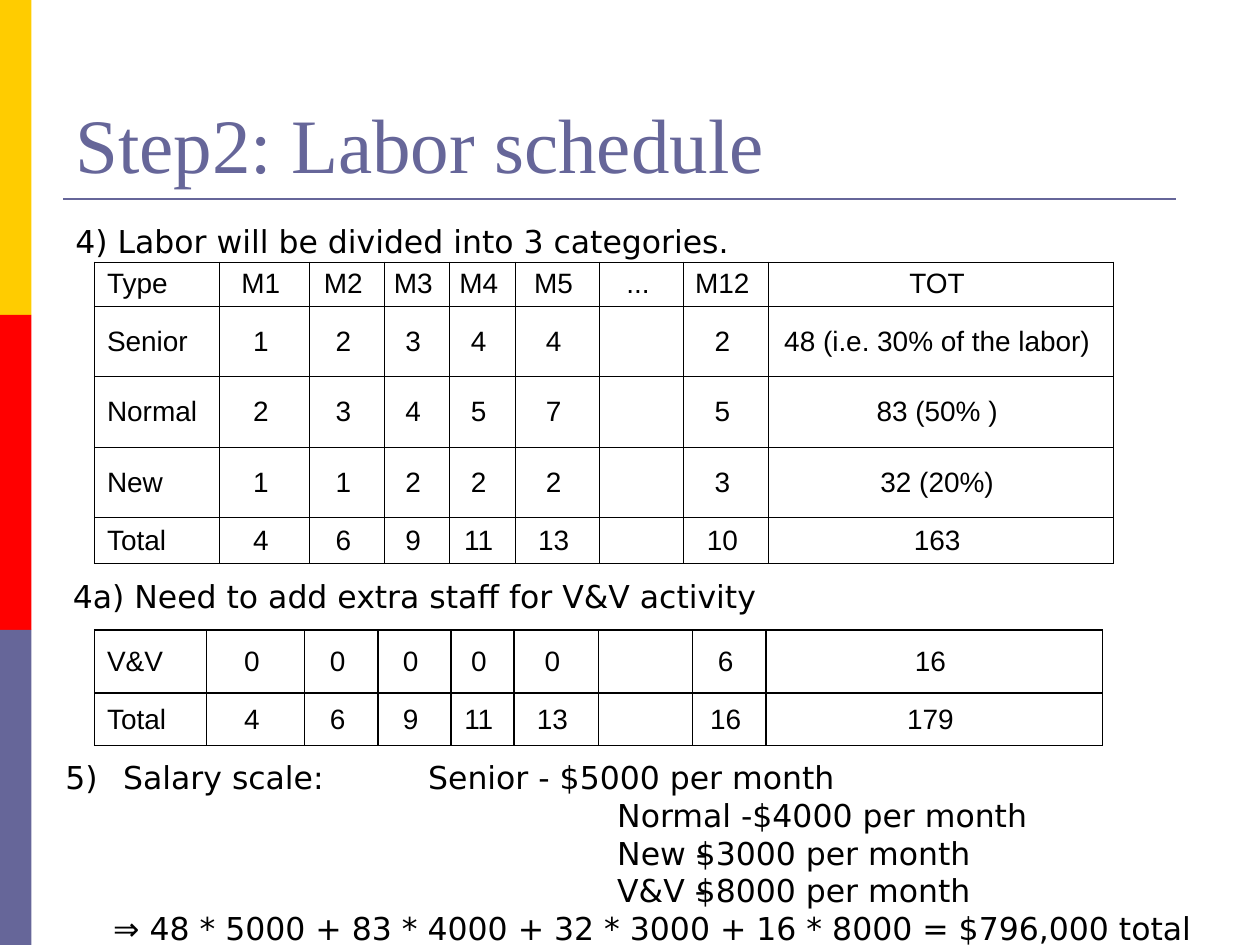
from dataclasses import dataclass

from lxml.etree import SubElement
from pptx import Presentation
from pptx.dml.color import RGBColor
from pptx.enum.shapes import MSO_CONNECTOR as Connector, MSO_SHAPE as Shape
from pptx.enum.text import MSO_ANCHOR as Anchor, PP_ALIGN as Align
from pptx.oxml import parse_xml
from pptx.oxml.ns import nsdecls, qn
from pptx.slide import Slide
from pptx.util import Inches, Pt

BLACK = RGBColor(0x00, 0x00, 0x00)
YELLOW = RGBColor(0xFF, 0xCC, 0x00)
RED = RGBColor(0xFF, 0x00, 0x00)
SLATE = RGBColor(0x66, 0x66, 0x99)


@dataclass
class SlideWriter:
    slide: Slide
    title_font: str = "Times New Roman"
    body_font: str = "DejaVu Sans"
    table_font: str = "Arial"
    body_size: int = 18
    table_size: int = 16
    border: float = 0.75

    def run(self, paragraph, text, font, size, color=BLACK):
        run = paragraph.add_run()
        run.text = text
        run.font.name = font
        run.font.size = Pt(size)
        run.font.color.rgb = color

    def band(self, left, top, width, height, color):
        band = self.slide.shapes.add_shape(
            Shape.RECTANGLE, Inches(left), Inches(top), Inches(width), Inches(height))
        band.shadow.inherit = False
        band.fill.solid()
        band.fill.fore_color.rgb = color
        band.line.fill.background()

    def rule(self, left, right, y, color):
        rule = self.slide.shapes.add_connector(
            Connector.STRAIGHT, Inches(left), Inches(y), Inches(right), Inches(y))
        rule.line.color.rgb = color
        rule.line.width = Pt(1.5)
        SubElement(rule._element.spPr, qn("a:effectLst"))

    def frame(self, left, top, width, height, anchor=Anchor.TOP):
        box = self.slide.shapes.add_textbox(
            Inches(left), Inches(top), Inches(width), Inches(height))
        frame = box.text_frame
        frame.word_wrap = True
        frame.vertical_anchor = anchor
        return frame

    def title(self, text, left, top, width, height):
        frame = self.frame(left, top, width, height, Anchor.BOTTOM)
        self.run(frame.paragraphs[0], text, self.title_font, 44, SLATE)

    def label(self, text, left, top, width, height, spacing=1.0):
        paragraph = self.frame(left, top, width, height).paragraphs[0]
        paragraph.line_spacing = spacing
        self.run(paragraph, text, self.body_font, self.body_size)

    def hanging_list(self, lines, left, top, width, height):
        frame = self.frame(left, top, width, height)
        for index, (text, margin, hang) in enumerate(lines):
            paragraph = frame.add_paragraph() if index else frame.paragraphs[0]
            properties = paragraph._p.get_or_add_pPr()
            properties.set("marL", str(Inches(margin)))
            properties.set("indent", str(-Inches(hang)))
            paragraph.line_spacing = 0.8 if index else 0.9
            if index:
                paragraph.space_before = Pt(4.2)
            self.run(paragraph, text, self.body_font, self.body_size)

    def cell(self, cell, text, centred):
        properties = cell._tc.get_or_add_tcPr()
        for side in ("lnL", "lnR", "lnT", "lnB"):
            properties.append(parse_xml(
                f'<a:{side} {nsdecls("a")} w="{Pt(self.border)}"><a:solidFill>'
                f'<a:srgbClr val="{BLACK}"/></a:solidFill></a:{side}>'))
        cell.fill.background()
        cell.vertical_anchor = Anchor.MIDDLE
        cell.margin_top = cell.margin_bottom = Inches(0.03)
        if centred:
            cell.margin_left, cell.margin_right = Inches(0.05), Inches(0.11)
        paragraph = cell.text_frame.paragraphs[0]
        paragraph.alignment = Align.CENTER if centred else Align.LEFT
        if text:
            self.run(paragraph, text, self.table_font, self.table_size)

    def table(self, rows, left, top, widths, heights):
        table = self.slide.shapes.add_table(
            len(rows), len(widths), Inches(left), Inches(top),
            Inches(sum(widths)), Inches(sum(heights))).table
        table.first_row = table.horz_banding = False
        for column, width in zip(table.columns, widths):
            column.width = Inches(width)
        for row, height, texts in zip(table.rows, heights, rows):
            row.height = Inches(height)
            for index, text in enumerate(texts):
                self.cell(row.cells[index], text, centred=index > 0)


LABOR = [
    ["Type", "M1", "M2", "M3", "M4", "M5", "...", "M12", "TOT"],
    ["Senior", "1", "2", "3", "4", "4", "", "2", "48 (i.e. 30% of the labor)"],
    ["Normal", "2", "3", "4", "5", "7", "", "5", "83 (50% )"],
    ["New", "1", "1", "2", "2", "2", "", "3", "32 (20%)"],
    ["Total", "4", "6", "9", "11", "13", "", "10", "163"],
]
EXTRA_STAFF = [
    ["V&V", "0", "0", "0", "0", "0", "", "6", "16"],
    ["Total", "4", "6", "9", "11", "13", "", "16", "179"],
]
SALARIES = [
    ("5)\t Salary scale: \t\tSenior - $5000 per month", 0.38, 0.38),
    ("Normal -$4000 per month", 5.4, 1.02),
    ("New -\t$3000 per month", 5.4, 1.02),
    ("V&V -\t$8000 per month", 5.4, 1.02),
    ("\t⇒ 48 * 5000 + 83 * 4000 + 32 * 3000 + 16 * 8000 = $796,000 total", 0.38, 0.38),
]


def main():
    deck = Presentation()
    deck.slide_width, deck.slide_height = Inches(10), Inches(7.5)
    writer = SlideWriter(deck.slides.add_slide(deck.slide_layouts[6]))

    for index, color in enumerate((YELLOW, RED, SLATE)):
        writer.band(0, 2.5 * index, 0.25, 2.5, color)
    writer.rule(0.5, 9.33, 1.58, SLATE)
    writer.title("Step2: Labor schedule", 0.5, 0.3, 9, 1.25)

    writer.hanging_list(SALARIES, 0.42, 6, 9.58, 1.5)
    writer.table(LABOR, 0.75, 2.08,
                 [0.99, 0.72, 0.59, 0.52, 0.52, 0.67, 0.67, 0.67, 2.74],
                 [0.35, 0.56, 0.56, 0.56, 0.35])
    writer.label("4) Labor will be divided into 3 categories.", 0.5, 1.75, 5.61, 0.37, 0.9)
    writer.table(EXTRA_STAFF, 0.75, 5,
                 [0.89, 0.78, 0.58, 0.58, 0.5, 0.67, 0.75, 0.58, 2.67],
                 [0.5, 0.42])
    writer.label("4a) Need to add extra staff for V&V activity", 0.48, 4.53, 5.7, 0.4)

    deck.save("out.pptx")


if __name__ == "__main__":
    main()
